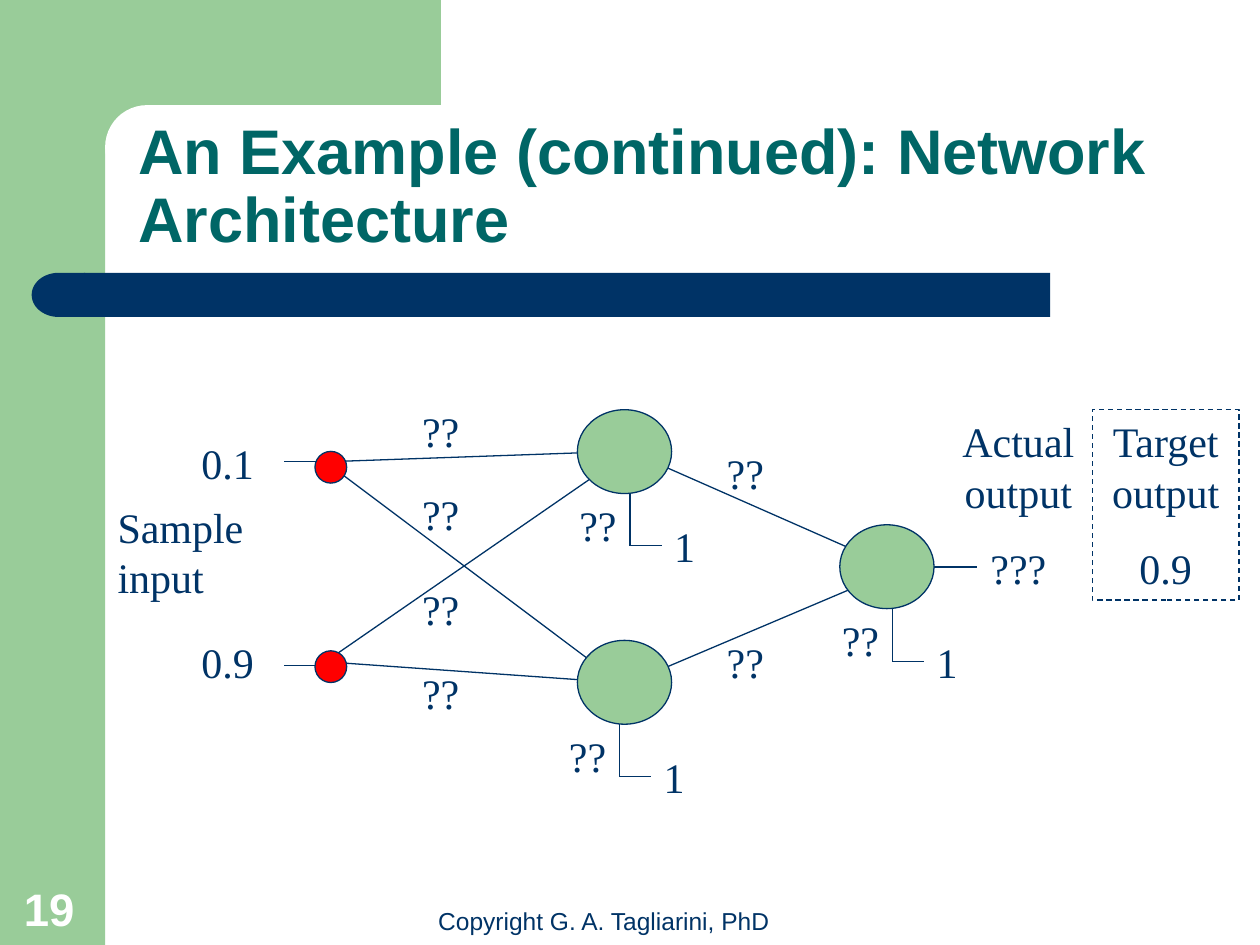
from pptx import Presentation
from pptx.dml.color import RGBColor
from pptx.enum.dml import MSO_LINE
from pptx.enum.shapes import MSO_CONNECTOR, MSO_SHAPE
from pptx.enum.text import MSO_ANCHOR, PP_ALIGN
from pptx.oxml.ns import qn
from pptx.util import Cm, Pt

COLORS = {
    "green": "99CC99",
    "navy": "003366",
    "teal": "006666",
    "red": "FF0000",
    "white": "FFFFFF",
}


def rgb(name):
    """Return the named palette colour."""
    return RGBColor.from_string(COLORS[name])


def add_block(s, kind, x, y, w, h, fill=None, line=None):
    """Add a preset shape with an optional fill and thin outline."""
    sp = s.shapes.add_shape(kind, Cm(x), Cm(y), Cm(w), Cm(h))
    sp.shadow.inherit = False
    if fill:
        sp.fill.solid()
        sp.fill.fore_color.rgb = rgb(fill)
    else:
        sp.fill.background()
    if line:
        sp.line.color.rgb = rgb(line)
        sp.line.width = Pt(0.75)
    else:
        sp.line.fill.background()
    return sp


def write_text(sp, text, font="Times New Roman", size=24, color="navy", bold=False,
               align=PP_ALIGN.LEFT, anchor=MSO_ANCHOR.TOP, before=15, spacing=1.0):
    """Fill a shape with one formatted paragraph per line of text."""
    tf = sp.text_frame
    tf.word_wrap = True
    tf.vertical_anchor = anchor
    for i, words in enumerate(text.split("\n")):
        p = tf.add_paragraph() if i else tf.paragraphs[0]
        p.alignment = align
        p.space_before = Pt(before)
        p.line_spacing = spacing
        r = p.add_run()
        r.text = words
        r.font.name = font
        r.font.size = Pt(size)
        r.font.bold = bold
        r.font.color.rgb = rgb(color)


def add_label(s, text, x, y, w=1.47, h=1.27, **fmt):
    """Add a text box."""
    write_text(s.shapes.add_textbox(Cm(x), Cm(y), Cm(w), Cm(h)), text, **fmt)


def add_line(s, x1, y1, x2, y2):
    """Add a thin straight connector."""
    c = s.shapes.add_connector(MSO_CONNECTOR.STRAIGHT, Cm(x1), Cm(y1), Cm(x2), Cm(y2))
    c.line.color.rgb = rgb("navy")
    c.line.width = Pt(0.75)
    sp_pr = c._element.spPr
    sp_pr.append(sp_pr.makeelement(qn("a:effectLst"), {}))


def add_bias(s, x, y):
    """Add the bias branch of a neuron with its weight and its unit input."""
    add_line(s, x, y, x, y + 1.9)
    add_line(s, x, y + 1.9, x + 0.64, y + 1.9)
    add_label(s, "1", x + 0.64, y + 1.27, w=0.89)
    add_label(s, "??", x - 1.27, y + 0.84)


def add_frame(s):
    """Add the side band, the title bar, the title and the footer."""
    add_block(s, MSO_SHAPE.RECTANGLE, 0, 0, 2.12, 19.05, "green")
    add_block(s, MSO_SHAPE.RECTANGLE, 1.9, 0, 6.99, 2.96, "green")
    corner = add_block(s, MSO_SHAPE.ROUNDED_RECTANGLE, 2.12, 2.12, 14.18, 1.69, "white")
    corner.adjustments[0] = 0.5
    add_block(s, MSO_SHAPE.RECTANGLE, 1.69, 5.5, 19.48, 0.89, "navy")
    cap = add_block(s, MSO_SHAPE.FLOWCHART_DELAY, 0.64, 5.5, 1.08, 0.89, "navy")
    cap._element.spPr.find(qn("a:xfrm")).set("flipH", "1")

    base = {"font": "Arial", "anchor": MSO_ANCHOR.BOTTOM, "before": 0}
    add_label(s, "An Example (continued): Network Architecture", 2.54, 2.12, 22.22, 3.17,
              size=36, color="teal", bold=True, spacing=0.9, **base)
    add_label(s, "Copyright G. A. Tagliarini, PhD", 8.15, 18.13, 8.05, 0.86,
              size=14, align=PP_ALIGN.CENTER, **base)
    add_label(s, "19", 0.23, 17.62, 1.63, 1.37, size=26, color="white", bold=True, **base)


def add_network(s):
    """Add the connections, biases, nodes and weights."""
    links = [
        (6.56, 9.31, 12.49, 9.1), (6.56, 9.31, 12.49, 13.76),
        (6.56, 13.34, 12.7, 9.1), (6.56, 13.34, 12.49, 13.76),
        (12.7, 9.1, 17.99, 11.43), (12.7, 13.76, 18.2, 11.43),
        (18.2, 11.43, 19.69, 11.43),
        (6.56, 9.31, 5.72, 9.31), (6.56, 13.41, 5.72, 13.41),
    ]
    for ends in links:
        add_line(s, *ends)
    for x, y in [(12.7, 9.1), (12.49, 13.76), (17.99, 11.43)]:
        add_bias(s, x, y)
    for y in (9.1, 13.12):
        add_block(s, MSO_SHAPE.OVAL, 6.35, y, 0.64, 0.64, "red", "navy")
    for x, y in [(11.64, 8.26), (11.64, 12.91), (16.93, 10.58)]:
        add_block(s, MSO_SHAPE.OVAL, x, y, 1.9, 1.69, "green", "navy")
    for x, rows in [(8.26, (8.05, 9.73, 11.63, 13.34)), (14.4, (8.89, 12.7))]:
        for y in rows:
            add_label(s, "??", x, y)


def add_values(s):
    """Add the sample input, the actual output and the target output."""
    add_label(s, "Sample input", 2.12, 9.98, 3.17, 2.29)
    add_label(s, "0.1", 3.81, 8.69, 2.12)
    add_label(s, "0.9", 3.81, 12.7, 2.12)
    add_label(s, "Actual output\n???", 19.05, 8.26, 2.96, 3.84, align=PP_ALIGN.CENTER)
    target = add_block(s, MSO_SHAPE.RECTANGLE, 22.02, 8.26, 2.96, 3.84, line="navy")
    target.line.dash_style = MSO_LINE.DASH
    write_text(target, "Target output\n0.9", align=PP_ALIGN.CENTER)


def main():
    """Build and save the slide."""
    prs = Presentation()
    prs.slide_width, prs.slide_height = Cm(25.4), Cm(19.05)
    s = prs.slides.add_slide(prs.slide_layouts[6])
    add_frame(s)
    add_network(s)
    add_values(s)
    prs.save("out.pptx")


if __name__ == "__main__":
    main()
